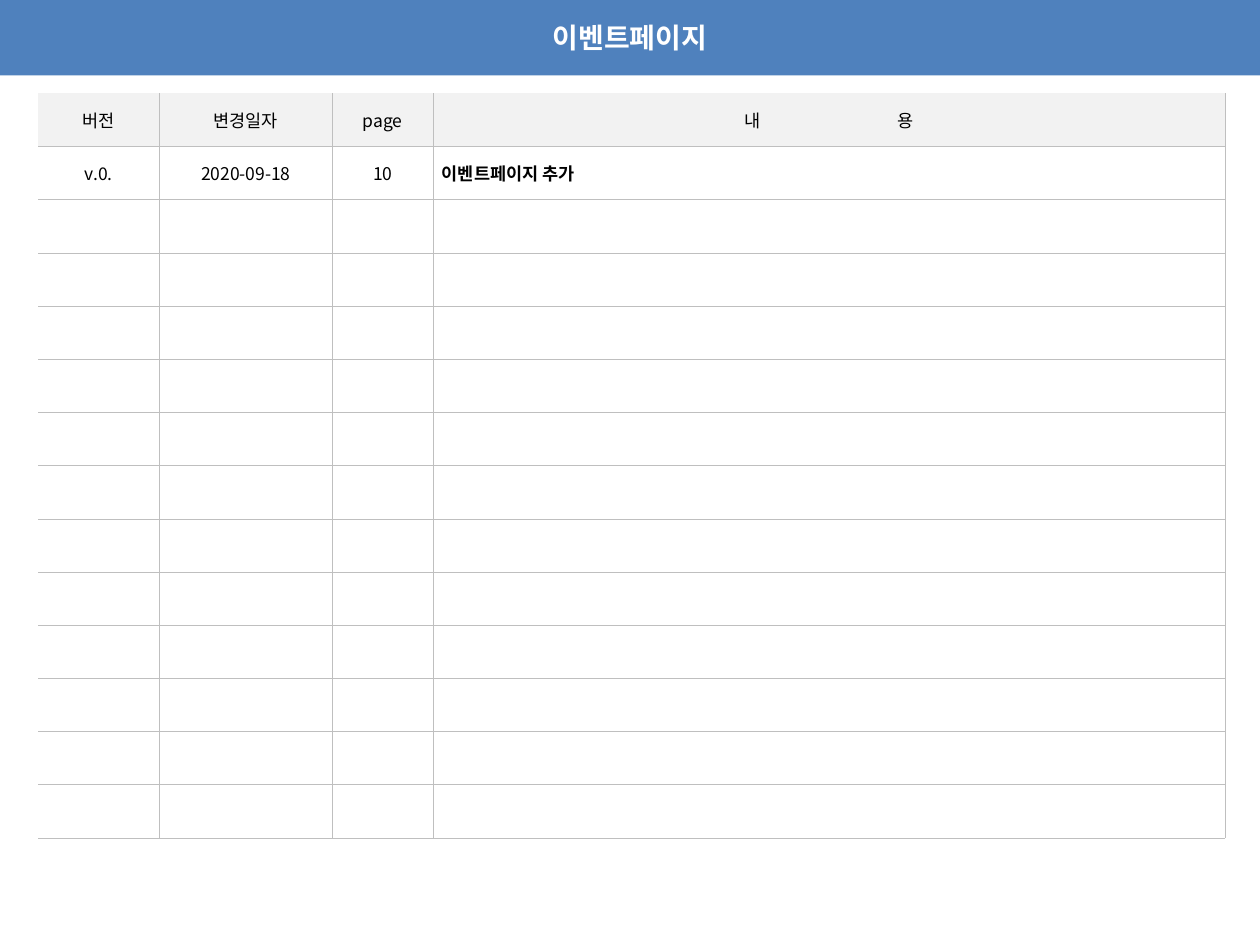
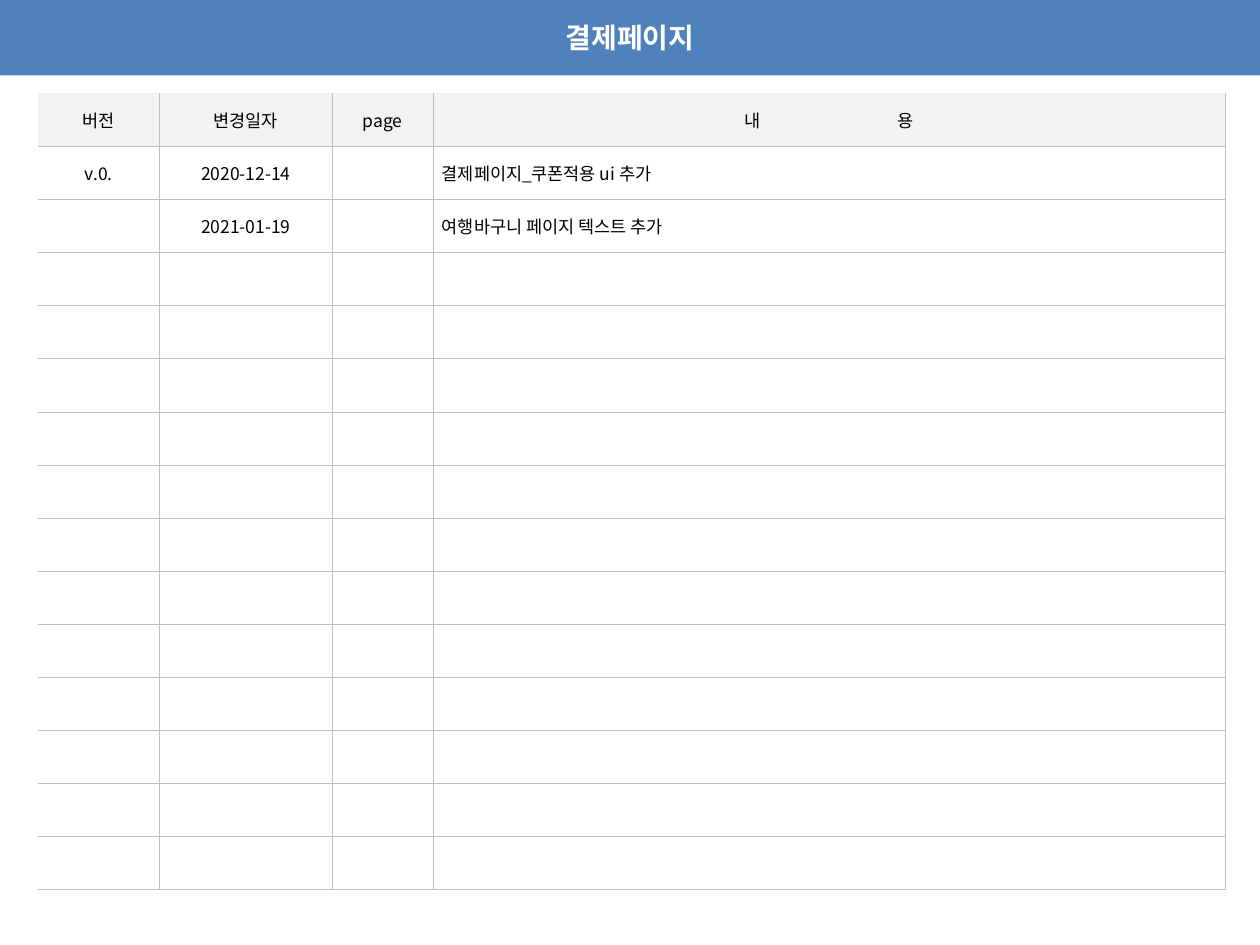
from lxml.etree import SubElement
from pptx import Presentation
from pptx.dml.color import RGBColor
from pptx.enum.text import MSO_ANCHOR, PP_ALIGN
from pptx.oxml.ns import qn
from pptx.util import Cm, Pt

HEADERS = ["버전", "변경일자", "page", "내 용"]
PAGES = [
    {
        "title": "이벤트페이지",
        "changes": [["v.0.", "2020-09-18", "10", "이벤트페이지 추가"]],
        "bold_changes": True,
        "row_count": 14,
        "table_height": 15.01,
    },
    {
        "title": "결제페이지",
        "changes": [
            ["v.0.", "2020-12-14", "", "결제페이지_쿠폰적용 ui 추가"],
            ["", "2021-01-19", "", "여행바구니 페이지 텍스트 추가"],
        ],
        "bold_changes": False,
        "row_count": 15,
        "table_height": 16.05,
    },
]

FONT = "Noto Sans CJK KR"
BLUE = RGBColor(0x4F, 0x81, 0xBD)
HEADER_GREY = RGBColor(0xF2, 0xF2, 0xF2)
LINE_GREY = RGBColor(0xBF, 0xBF, 0xBF)
WHITE = RGBColor(0xFF, 0xFF, 0xFF)
BLACK = RGBColor(0, 0, 0)

SLIDE_WIDTH, SLIDE_HEIGHT = Cm(25.4), Cm(19.05)
BAND_HEIGHT = Cm(1.52)
TABLE_LEFT, TABLE_TOP = Cm(0.77), Cm(1.88)
COLUMN_WIDTHS = [Cm(2.44), Cm(3.49), Cm(2.03), Cm(15.97)]
CONTENT_COLUMN = len(HEADERS) - 1
HEADER_SPREAD = "3780"


def format_run(run, size, color, bold=False):
    run.font.name = FONT
    run.font.size = Pt(size)
    run.font.bold = bold
    run.font.color.rgb = color
    SubElement(run._r.get_or_add_rPr(), qn("a:ea"), typeface=FONT)


def add_title(slide, text):
    title = slide.shapes.title
    title.left, title.top = 0, 0
    title.width, title.height = SLIDE_WIDTH, BAND_HEIGHT
    title.fill.solid()
    title.fill.fore_color.rgb = BLUE
    title.text_frame.text = text
    title.text_frame.vertical_anchor = MSO_ANCHOR.MIDDLE
    paragraph = title.text_frame.paragraphs[0]
    paragraph.alignment = PP_ALIGN.CENTER
    format_run(paragraph.runs[0], 16, WHITE, bold=True)


def set_borders(cell, row_index, column_index):
    visible_sides = {"L": column_index > 0, "R": True, "T": row_index > 0, "B": True}
    properties = cell._tc.get_or_add_tcPr()
    for side, visible in visible_sides.items():
        line = SubElement(properties, qn(f"a:ln{side}"), w=str(Pt(0.25)))
        if visible:
            fill = SubElement(line, qn("a:solidFill"))
            SubElement(fill, qn("a:srgbClr"), val=str(LINE_GREY))
        else:
            SubElement(line, qn("a:noFill"))


def fill_cell(cell, text, row_index, column_index, bold):
    is_header = row_index == 0
    set_borders(cell, row_index, column_index)
    cell.fill.solid()
    cell.fill.fore_color.rgb = HEADER_GREY if is_header else WHITE
    cell.vertical_anchor = MSO_ANCHOR.MIDDLE
    cell.margin_left = cell.margin_right = Cm(0.18)
    cell.margin_top = cell.margin_bottom = Cm(0.1)
    paragraph = cell.text_frame.paragraphs[0]
    is_centred = is_header or column_index < CONTENT_COLUMN
    paragraph.alignment = PP_ALIGN.CENTER if is_centred else PP_ALIGN.LEFT
    if not text:
        SubElement(paragraph._p, qn("a:endParaRPr"), sz="1000")
    elif is_header and column_index == CONTENT_COLUMN:
        spread_run, last_run = paragraph.add_run(), paragraph.add_run()
        spread_run.text, last_run.text = text[:-1], text[-1]
        spread_run._r.get_or_add_rPr().set("spc", HEADER_SPREAD)
    else:
        paragraph.text = text
    for run in paragraph.runs:
        format_run(run, 10, BLACK, bold)


def add_change_table(slide, page):
    row_count = page["row_count"]
    rows = [HEADERS] + page["changes"]
    rows += [[""] * len(HEADERS)] * (row_count - len(rows))
    height = Cm(page["table_height"])
    table = slide.shapes.add_table(
        row_count, len(HEADERS), TABLE_LEFT, TABLE_TOP, sum(COLUMN_WIDTHS), height
    ).table
    table.first_row = False
    table.horz_banding = False
    for column, width in zip(table.columns, COLUMN_WIDTHS):
        column.width = width
    for row_index, texts in enumerate(rows):
        table.rows[row_index].height = height // row_count
        for column_index, text in enumerate(texts):
            bold = page["bold_changes"] and row_index > 0 and column_index == CONTENT_COLUMN
            fill_cell(table.cell(row_index, column_index), text, row_index, column_index, bold)


def main():
    presentation = Presentation()
    presentation.slide_width, presentation.slide_height = SLIDE_WIDTH, SLIDE_HEIGHT
    title_only = presentation.slide_layouts[5]
    for page in PAGES:
        slide = presentation.slides.add_slide(title_only)
        add_title(slide, page["title"])
        add_change_table(slide, page)
    presentation.save("out.pptx")


if __name__ == "__main__":
    main()
